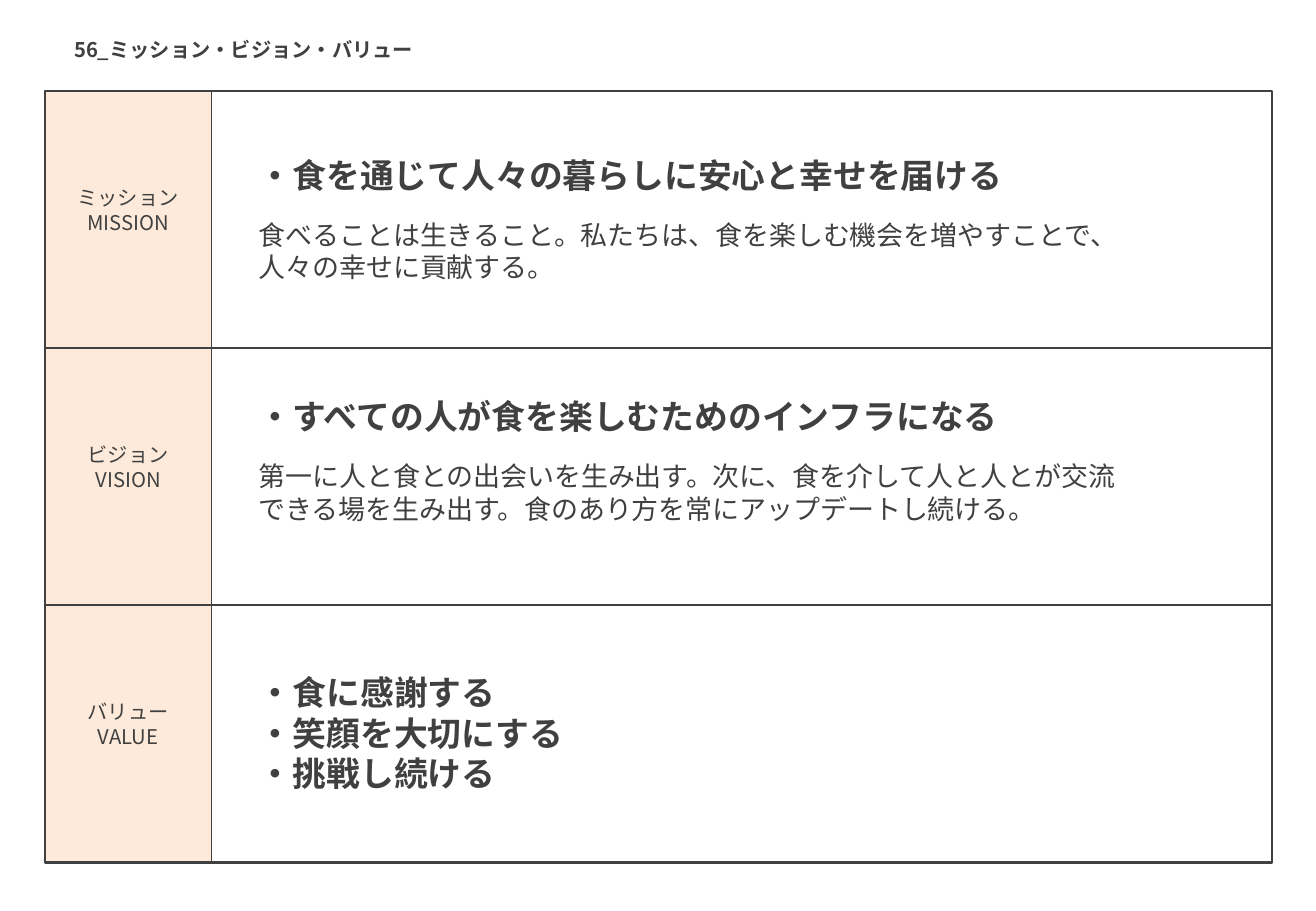
from dataclasses import dataclass

from lxml.etree import SubElement
from pptx import Presentation
from pptx.dml.color import RGBColor
from pptx.enum.shapes import MSO_CONNECTOR as Connector, MSO_SHAPE as Shape
from pptx.enum.text import MSO_ANCHOR as Anchor, MSO_AUTO_SIZE as AutoSize, PP_ALIGN as Align
from pptx.oxml.ns import qn
from pptx.util import Inches, Pt


@dataclass(frozen=True)
class Theme:
    font: str = "Noto Sans CJK JP"
    ink: RGBColor = RGBColor(0x40, 0x40, 0x40)
    label_fill: RGBColor = RGBColor(0xFD, 0xEA, 0xDA)
    small: int = 12
    body: int = 16
    heading: int = 20
    divider: float = 1
    border: float = 1.5


@dataclass(frozen=True)
class Box:
    left: float
    top: float
    width: float
    height: float

    def inches(self):
        return [Inches(v) for v in (self.left, self.top, self.width, self.height)]

    def inner(self, left, top, width, height):
        """Box placed relative to this one's top left corner."""
        return Box(self.left + left, self.top + top, width, height)


@dataclass(frozen=True)
class Statement:
    labels: tuple
    headings: tuple
    heading_top: float
    body: str = ""


THEME = Theme()
TITLE = "56_ミッション・ビジョン・バリュー"
STATEMENTS = (
    Statement(("ミッション", "MISSION"), ("・食を通じて人々の暮らしに安心と幸せを届ける",), 0.47,
              "食べることは生きること。私たちは、食を楽しむ機会を増やすことで、人々の幸せに貢献する。"),
    Statement(("ビジョン", "VISION"), ("・すべての人が食を楽しむためのインフラになる",), 0.34,
              "第一に人と食との出会いを生み出す。次に、食を介して人と人とが交流できる場を生み出す。"
              "食のあり方を常にアップデートし続ける。"),
    Statement(("バリュー", "VALUE"), ("・食に感謝する", "・笑顔を大切にする", "・挑戦し続ける"), 0.5),
)
SLIDE_WIDTH, SLIDE_HEIGHT = 10.83, 7.5
FRAME = Box(0.37, 0.75, 10.1, 6.35)
ROW_HEIGHT = FRAME.height / len(STATEMENTS)
LABEL_WIDTH = 1.37
LABEL_HEIGHT = 0.5
CONTENT_LEFT = 1.66
CONTENT_WIDTH = 7.29
BODY_OFFSET = 0.53


def write(shape, box, lines, size, bold=False, align=Align.LEFT, anchor=Anchor.TOP):
    """Place a text box or placeholder and write one plain paragraph per line."""
    shape.left, shape.top, shape.width, shape.height = box.inches()
    frame = shape.text_frame
    frame.word_wrap = True
    frame.auto_size = AutoSize.NONE
    frame.vertical_anchor = anchor
    for index, line in enumerate(lines):
        paragraph = frame.add_paragraph() if index else frame.paragraphs[0]
        paragraph.alignment = align
        paragraph.space_before = Pt(0)
        if shape.is_placeholder:
            properties = paragraph._p.get_or_add_pPr()
            properties.set("marL", "0")
            properties.set("indent", "0")
            SubElement(properties, qn("a:buNone"))
        run = paragraph.add_run()
        run.text = line
        font = run.font
        font.name, font.size, font.bold = THEME.font, Pt(size), bold
        font.color.rgb = THEME.ink
        SubElement(run._r.get_or_add_rPr(), qn("a:ea")).set("typeface", THEME.font)


def add_text(slide, box, lines, size, **style):
    write(slide.shapes.add_textbox(*box.inches()), box, lines, size, **style)


def add_rectangle(slide, box, fill=None, border=None):
    shape = slide.shapes.add_shape(Shape.RECTANGLE, *box.inches())
    shape.shadow.inherit = False
    if fill is None:
        shape.fill.background()
    else:
        shape.fill.solid()
        shape.fill.fore_color.rgb = fill
    if border is None:
        shape.line.fill.background()
    else:
        shape.line.color.rgb = THEME.ink
        shape.line.width = Pt(border)


def add_divider(slide, *ends):
    line = slide.shapes.add_connector(Connector.STRAIGHT, *[Inches(v) for v in ends])
    line.line.color.rgb = THEME.ink
    line.line.width = Pt(THEME.divider)
    SubElement(line._element.spPr, qn("a:effectLst"))


def draw_grid(slide, box):
    """Draw the tinted label column, the dividers and the outer border."""
    right, bottom = box.left + box.width, box.top + box.height
    add_rectangle(slide, Box(box.left, box.top, LABEL_WIDTH, box.height), fill=THEME.label_fill)
    label_edge = box.left + LABEL_WIDTH
    add_divider(slide, label_edge, box.top, label_edge, bottom)
    for row in range(1, len(STATEMENTS)):
        y = box.top + row * ROW_HEIGHT
        add_divider(slide, box.left, y, right, y)
    add_rectangle(slide, box, border=THEME.border)


def draw_statement(slide, row, statement):
    label_top = (row.height - LABEL_HEIGHT) / 2 - 0.08
    add_text(slide, row.inner(0, label_top, LABEL_WIDTH, LABEL_HEIGHT),
             statement.labels, THEME.small, align=Align.CENTER)
    count = len(statement.headings)
    heading_box = row.inner(CONTENT_LEFT, statement.heading_top,
                            CONTENT_WIDTH, 0.1 + count / 3)
    style = {"bold": True, "anchor": Anchor.MIDDLE}
    if statement.body:
        add_text(slide, heading_box, statement.headings, THEME.heading, **style)
        add_text(slide, heading_box.inner(0, BODY_OFFSET, CONTENT_WIDTH, 0.64),
                 [statement.body], THEME.body)
    else:
        write(slide.placeholders[1], heading_box, statement.headings, THEME.heading, **style)


def build_slide(presentation):
    slide = presentation.slides.add_slide(presentation.slide_layouts[1])
    write(slide.shapes.title, Box(0.51, 0.26, 5, 0.3), [TITLE], THEME.small, bold=True)
    draw_grid(slide, FRAME)
    for index, statement in enumerate(STATEMENTS):
        row = FRAME.inner(0, index * ROW_HEIGHT, FRAME.width, ROW_HEIGHT)
        draw_statement(slide, row, statement)


def main():
    presentation = Presentation()
    presentation.slide_width = Inches(SLIDE_WIDTH)
    presentation.slide_height = Inches(SLIDE_HEIGHT)
    build_slide(presentation)
    presentation.save("out.pptx")


if __name__ == "__main__":
    main()
